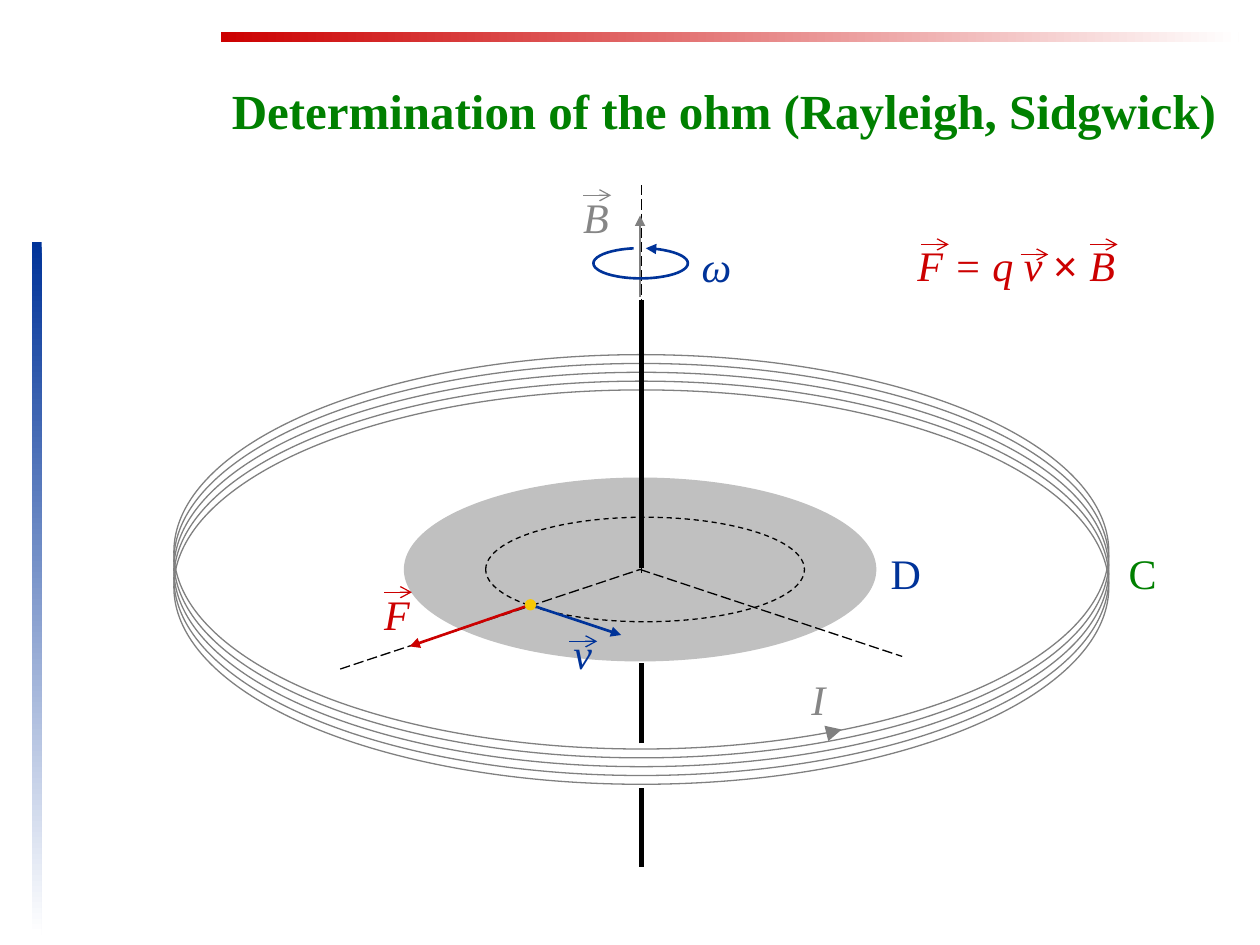
import pptx
import pptx.util
from pptx.dml.color import RGBColor
from pptx.enum.dml import MSO_LINE
from pptx.enum.shapes import MSO_CONNECTOR, MSO_SHAPE
from pptx.enum.text import MSO_ANCHOR, MSO_AUTO_SIZE, PP_ALIGN
from pptx.oxml.ns import qn
from pptx.util import Inches
from lxml import etree

RED = RGBColor(0xCC, 0x00, 0x00)
BLUE = RGBColor(0x00, 0x33, 0x99)
GREEN = RGBColor(0x00, 0x80, 0x00)
GRAY = RGBColor(0x80, 0x80, 0x80)
LABEL_GRAY = RGBColor(0x86, 0x86, 0x86)
SILVER = RGBColor(0xC0, 0xC0, 0xC0)
YELLOW = RGBColor(0xF6, 0xC8, 0x06)
BLACK = RGBColor(0x00, 0x00, 0x00)
WHITE = RGBColor(0xFF, 0xFF, 0xFF)
SERIF = "Times New Roman"
AXIS_X = 5.08
DISC_Y = 4.52
CHARGE = (4.21, 4.8)


def set_line(s, color, width, dash=None):
    s.line.color.rgb = color
    s.line.width = pptx.util.Pt(width)
    if dash:
        s.line.dash_style = dash


def add_arrowhead(s, end, kind):
    etree.SubElement(s.line._get_or_add_ln(), qn(end), type=kind)


def add_gradient_bar(shapes, x, y, w, h, color, angle):
    s = shapes.add_shape(MSO_SHAPE.RECTANGLE, Inches(x), Inches(y), Inches(w), Inches(h))
    s.shadow.inherit = False
    s.line.fill.background()
    s.fill.gradient()
    s.fill.gradient_angle = angle
    for stop, rgb in zip(s.fill.gradient_stops, (color, WHITE)):
        stop.color.rgb = rgb


def add_ellipse(shapes, cx, cy, w, h, fill=None, line=None, dash=None):
    s = shapes.add_shape(MSO_SHAPE.OVAL, Inches(cx - w / 2), Inches(cy - h / 2),
                         Inches(w), Inches(h))
    s.shadow.inherit = False
    if fill:
        s.fill.solid()
        s.fill.fore_color.rgb = fill
    else:
        s.fill.background()
    if line:
        set_line(s, line, 0.75, dash)
    else:
        s.line.fill.background()


def add_line(shapes, start, end, color, width, dash=None, arrow=None):
    s = shapes.add_connector(MSO_CONNECTOR.STRAIGHT, *map(Inches, start + end))
    set_line(s, color, width, dash)
    if arrow:
        add_arrowhead(s, "a:tailEnd", arrow)
    etree.SubElement(s._element.spPr, qn("a:effectLst"))


def add_run(p, text, color, size=24, font=SERIF, italic=False, bold=False):
    r = p.add_run()
    r.text = text
    r.font.size = pptx.util.Pt(size)
    r.font.name = font
    r.font.italic = italic
    r.font.bold = bold
    r.font.color.rgb = color


def add_label(shapes, x, y, w, runs, color, italic=True):
    tf = shapes.add_textbox(Inches(x), Inches(y), Inches(w), Inches(0.5)).text_frame
    tf.word_wrap = False
    tf.auto_size = MSO_AUTO_SIZE.SHAPE_TO_FIT_TEXT
    p = tf.paragraphs[0]
    p.alignment = PP_ALIGN.CENTER if italic else PP_ALIGN.LEFT
    for text, font in runs:
        add_run(p, text, color, font=font, italic=italic and font == SERIF)


def add_vector_bar(shapes, x, y, color):
    add_line(shapes, (x, y), (x + 0.22, y), color, 0.75, arrow="arrow")


def add_vector_label(shapes, x, y, w, text, color, bar_x, bar_y):
    add_label(shapes, x, y, w, [(text, SERIF)], color)
    add_vector_bar(shapes, bar_x, bar_y, color)


def add_title(slide, text):
    s = slide.shapes.title
    s.left, s.top, s.width, s.height = map(Inches, (0.75, 0.33, 9.05, 1.08))
    tf = s.text_frame
    tf.vertical_anchor = MSO_ANCHOR.MIDDLE
    p = tf.paragraphs[0]
    p.alignment = PP_ALIGN.CENTER
    p._p.get_or_add_pPr().set("marL", str(Inches(0.94)))
    add_run(p, text, GREEN, size=28, bold=True)


def add_apparatus(shapes):
    for i in range(5):
        add_ellipse(shapes, 5.09, 4.38 + 0.07 * i, 7.42, 3.13, line=GRAY)
    add_line(shapes, (6.64, 5.8), (6.68, 5.79), GRAY, 3, arrow="triangle")
    add_ellipse(shapes, AXIS_X, DISC_Y, 3.75, 1.46, fill=SILVER)
    for bottom, top in ((4.51, 2.38), (5.9, 5.26), (6.88, 6.25)):
        add_line(shapes, (5.09, bottom), (5.09, top), BLACK, 3)
    center = (AXIS_X, DISC_Y)
    for start, end in (((5.09, 1.47), (5.09, 4.55)),
                       ((2.7, 5.31), center), (center, (7.16, 5.21))):
        add_line(shapes, start, end, BLACK, 0.75, MSO_LINE.LONG_DASH)


def add_rotation_arrow(shapes):
    s = shapes.add_shape(MSO_SHAPE.ARC, Inches(4.71), Inches(1.97), Inches(0.75), Inches(0.24))
    s.shadow.inherit = False
    s.fill.background()
    for i, degrees in enumerate((289, 245)):
        s.adjustments[i] = degrees * 0.6
    set_line(s, BLUE, 1.5)
    add_arrowhead(s, "a:headEnd", "triangle")


def add_formula(shapes):
    runs = [("F = q v ", SERIF), ("× ", "Arial"), ("B", SERIF)]
    add_label(shapes, 7.15, 1.85, 1.83, runs, RED)
    for x, y in ((7.31, 1.94), (8.1, 2.02), (8.65, 1.94)):
        add_vector_bar(shapes, x, y, RED)


def main():
    prs = pptx.Presentation()
    prs.slide_width, prs.slide_height = Inches(10), Inches(7.5)
    slide = prs.slides.add_slide(prs.slide_layouts[5])
    shapes = slide.shapes

    add_gradient_bar(shapes, 1.75, 0.25, 8.08, 0.08, RED, 0)
    add_gradient_bar(shapes, 0.25, 1.92, 0.08, 5.5, BLUE, 270)
    add_title(slide, "Determination of the ohm (Rayleigh, Sidgwick)")

    add_apparatus(shapes.add_group_shape().shapes)
    add_ellipse(shapes, 5.12, DISC_Y, 2.53, 0.83, line=BLACK, dash=MSO_LINE.DASH)
    add_line(shapes, (AXIS_X, 2.36), (AXIS_X, 1.71), GRAY, 1.5, arrow="triangle")

    add_label(shapes, 6.97, 4.3, 0.44, [("D", SERIF)], BLUE, italic=False)
    add_label(shapes, 8.86, 4.3, 0.42, [("C", SERIF)], GREEN, italic=False)
    add_vector_label(shapes.add_group_shape().shapes, 4.53, 1.47, 0.4, "B", LABEL_GRAY, 4.63, 1.55)
    add_label(shapes, 5.47, 1.86, 0.43, [("ω", SERIF)], BLUE)

    force = shapes.add_group_shape().shapes
    add_line(force, CHARGE, (3.25, 5.13), RED, 1.5, arrow="triangle")
    add_vector_label(force, 2.95, 4.62, 0.4, "F", RED, 3.05, 4.7)
    velocity = shapes.add_group_shape().shapes
    add_line(velocity, CHARGE, (4.93, 5.04), BLUE, 1.5, arrow="triangle")
    add_vector_label(velocity, 4.45, 4.93, 0.35, "v", BLUE, 4.52, 5.09)

    add_label(shapes, 6.34, 5.3, 0.31, [("I", SERIF)], LABEL_GRAY)
    add_formula(shapes.add_group_shape().shapes)
    add_rotation_arrow(shapes)
    add_ellipse(shapes, *CHARGE, 0.08, 0.08, fill=YELLOW, line=YELLOW)

    prs.save("out.pptx")


if __name__ == "__main__":
    main()
